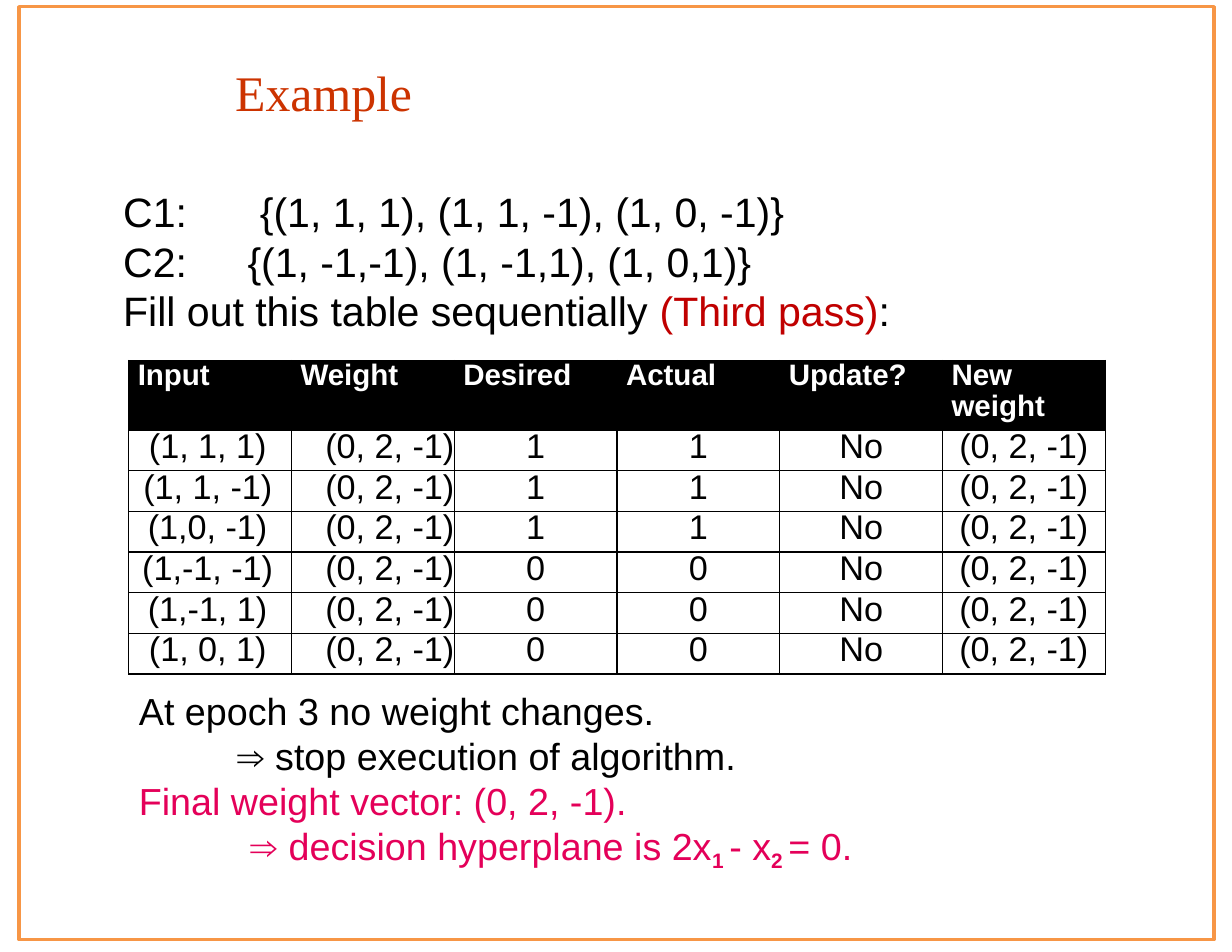
from pptx import Presentation
from pptx.dml.color import RGBColor
from pptx.enum.shapes import MSO_SHAPE
from pptx.enum.text import PP_ALIGN
from pptx.oxml.ns import qn
from pptx.util import Inches, Pt
from lxml.etree import SubElement

COLORS = {
    "black": "000000",
    "white": "FFFFFF",
    "title": "CC3300",
    "pass": "C00000",
    "result": "E40059",
    "frame": "F79646",
}
HEADERS = ["Input", "Weight", "Desired", "Actual", "Update?", "New weight"]
WEIGHT = "(0, 2, -1)"
# Input vector, its left indent in inches, and its class
SAMPLES = [
    ("(1, 1, 1)", 0.18, "1"),
    ("(1, 1, -1)", 0.13, "1"),
    ("(1,0, -1)", 0.17, "1"),
    ("(1,-1, -1)", 0.12, "0"),
    ("(1,-1, 1)", 0.17, "0"),
    ("(1, 0, 1)", 0.18, "0"),
]


def color(name):
    return RGBColor.from_string(COLORS[name])


def set_font(font, size, color_name="black", name="Arial", bold=False):
    font.name = name
    font.size = Pt(size)
    font.bold = bold
    font.color.rgb = color(color_name)


def set_indent(para, left):
    para._p.get_or_add_pPr().set("marL", str(Inches(left)))


def add_tab_stop(para, position):
    tabs = SubElement(para._p.get_or_add_pPr(), qn("a:tabLst"))
    SubElement(tabs, qn("a:tab"), pos=str(Inches(position)), algn="l")


def add_span(para, text):
    span = para.add_run()
    span.text = text
    return span


def add_text_frame(page, left, top, width, height):
    box = page.shapes.add_textbox(Inches(left), Inches(top), Inches(width), Inches(height))
    frame = box.text_frame
    frame.word_wrap = True
    frame.margin_left = frame.margin_right = frame.margin_bottom = 0
    frame.margin_top = Inches(0.02)
    frame.paragraphs[0].space_before = Pt(1.1)
    return frame


def add_paragraphs(frame, count):
    for _ in range(count - 1):
        frame.add_paragraph()
    return frame.paragraphs


def add_title(page, left, top, width, height):
    para = add_text_frame(page, left, top, width, height).paragraphs[0]
    para.text = "Example"
    set_indent(para, 0.02)
    set_font(para.font, 32, "title", "Times New Roman")


def add_classes(page, left, top, width, height):
    frame = add_text_frame(page, left, top, width, height)
    first, second, task = paras = add_paragraphs(frame, 3)
    for para in paras:
        set_indent(para, 0.02)
    for para, text, stop in (
        (first, "C1:\t{(1, 1, 1), (1, 1, -1), (1, 0, -1)}", 1.22),
        (second, "C2:\t{(1, -1,-1), (1, -1,1), (1, 0,1)}", 1.11),
    ):
        add_span(para, text)
        para.line_spacing = Pt(31.6)
        add_tab_stop(para, stop)
    add_span(task, "Fill out this table sequentially ")
    add_span(task, "(Third pass)").font.color.rgb = color("pass")
    add_span(task, ":")
    for para in paras:
        set_font(para.font, 26.4)


def style_cell(cell, fill=None):
    cell.margin_left = cell.margin_right = cell.margin_top = cell.margin_bottom = 0
    properties = cell._tc.get_or_add_tcPr()
    for side in ("lnL", "lnR", "lnT", "lnB"):
        line = SubElement(properties, qn(f"a:{side}"), w=str(Pt(1)))
        solid = SubElement(line, qn("a:solidFill"))
        SubElement(solid, qn("a:srgbClr"), val=COLORS["black"])
    if fill:
        cell.fill.solid()
        cell.fill.fore_color.rgb = color(fill)
    else:
        cell.fill.background()


def add_pass_table(page, left, top, width, height):
    header_height = 0.62
    row_height = (height - header_height) / len(SAMPLES)
    table = page.shapes.add_table(
        len(SAMPLES) + 1, len(HEADERS),
        Inches(left), Inches(top), Inches(width), Inches(height),
    ).table
    table.first_row = table.horz_banding = False
    for column in table.columns:
        column.width = Inches(width / len(HEADERS))
    for index, row in enumerate(table.rows):
        row.height = Inches(row_height if index else header_height)

    for cell, text in zip(table.rows[0].cells, HEADERS):
        style_cell(cell, "black")
        para = cell.text_frame.paragraphs[0]
        para.text = text
        para.line_spacing = Pt(20)
        set_indent(para, 0.08)
        set_font(para.font, 19, "white", bold=True)

    for index, (vector, indent, output) in enumerate(SAMPLES, start=1):
        values = [vector, WEIGHT, output, output, "No", WEIGHT]
        for column, (cell, text) in enumerate(zip(table.rows[index].cells, values)):
            style_cell(cell)
            para = cell.text_frame.paragraphs[0]
            para.text = text
            para.line_spacing = Pt(23)
            set_font(para.font, 22)
            if column == 0:
                set_indent(para, indent)
            else:
                para.alignment = PP_ALIGN.RIGHT if column == 1 else PP_ALIGN.CENTER


def add_subscript(para, text):
    span = add_span(para, text)
    span.font.size = Pt(23.1)
    span.font.bold = True
    span._r.get_or_add_rPr().set("baseline", "-21000")


def add_conclusion(page, left, top, width, height):
    frame = add_text_frame(page, left, top, width, height)
    paras = add_paragraphs(frame, 4)
    epoch, stop, vector, plane = paras
    add_span(epoch, "At epoch 3 no weight changes.")
    add_span(vector, "Final weight vector: (0, 2, -1).")
    for para in (stop, plane):
        add_span(para, "⇒ ").font.bold = True
    add_span(stop, "stop execution of algorithm.")
    add_span(plane, "decision hyperplane is 2x")
    add_subscript(plane, "1 ")
    add_span(plane, "- x")
    add_subscript(plane, "2 ")
    add_span(plane, "= 0.")
    for para, indent, color_name in zip(
        paras, (0.05, 0.93, 0.05, 1.05), ("black", "black", "result", "result")
    ):
        set_indent(para, indent)
        set_font(para.font, 24.2, color_name)


def add_frame(page, left, top, width, height):
    frame = page.shapes.add_shape(
        MSO_SHAPE.RECTANGLE, Inches(left), Inches(top), Inches(width), Inches(height)
    )
    frame.shadow.inherit = False
    frame.fill.background()
    frame.line.color.rgb = color("frame")
    frame.line.width = Pt(2)


def main():
    deck = Presentation()
    deck.slide_width, deck.slide_height = Inches(11), Inches(8.5)
    page = deck.slides.add_slide(deck.slide_layouts[6])
    add_title(page, 2.08, 0.53, 2.55, 0.55)
    add_classes(page, 1.08, 1.65, 7.49, 1.36)
    add_pass_table(page, 1.15, 3.22, 8.72, 2.8)
    add_conclusion(page, 1.19, 6.12, 7.38, 1.64)
    add_frame(page, 0.17, 0.06, 10.67, 8.33)
    deck.save("out.pptx")


if __name__ == "__main__":
    main()
